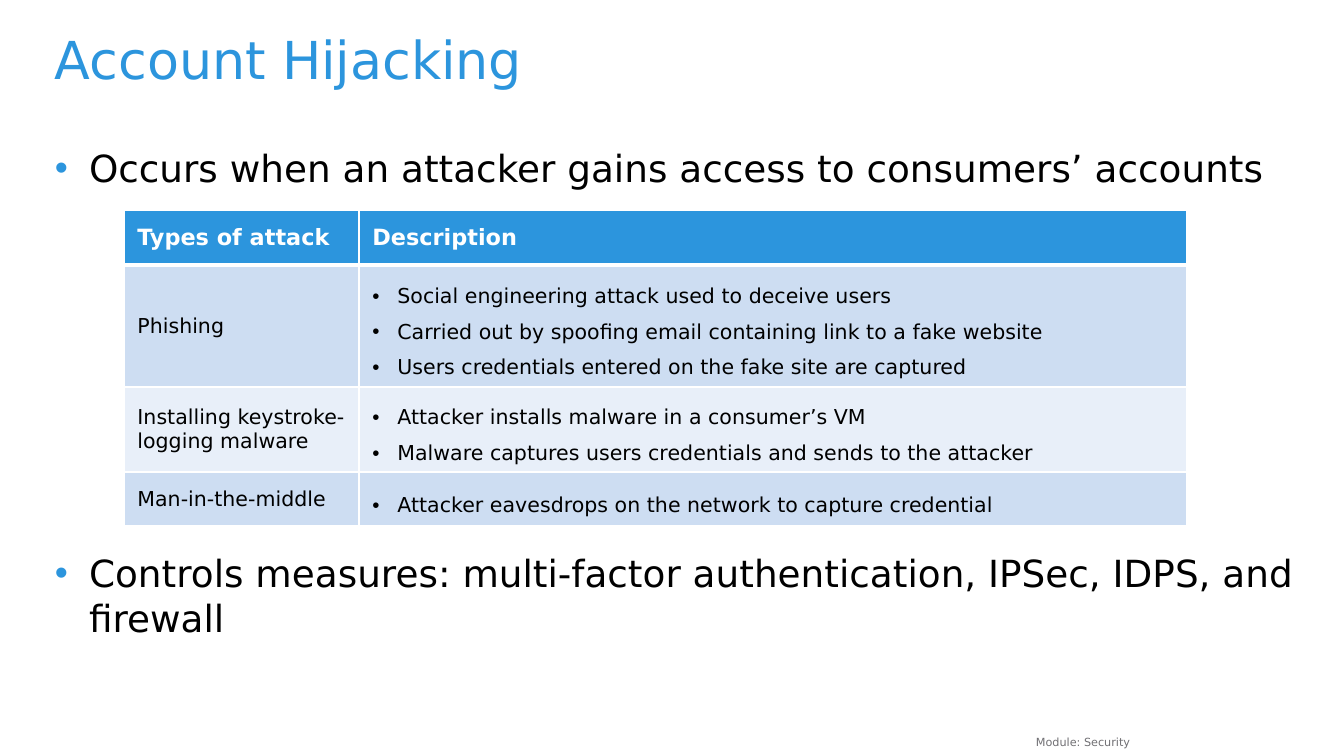
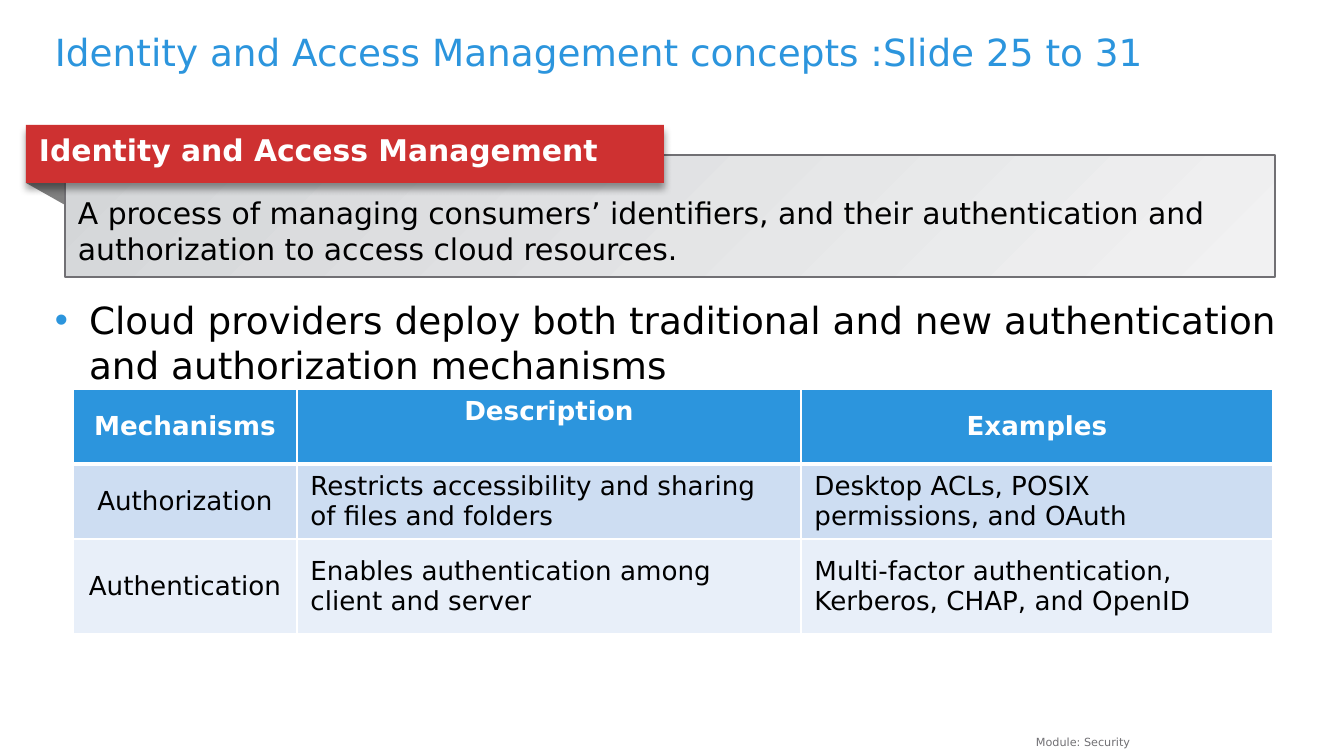
"""Build two cloud security slides with titles, bullets and tables."""
from lxml import etree
from pptx import Presentation
from pptx import util as u
from pptx.dml.color import RGBColor
from pptx.enum import shapes, text
from pptx.oxml import ns

HUES = {
    "blue": "2C95DD", "black": "000000", "white": "FFFFFF", "gray": "717074",
    "fold": "808080", "red": "CE3131", "odd": "CDDDF2", "even": "E8EFF9",
    "dim": "D4D6D8", "pale": "F1F1F2",
}
FACE = "DejaVu Sans"
SCALE = 914400 / 134.4
SIZE = (1344, 756)
TITLE = (55, 34, 1243, 67)
FOOT = ("Module: Security", (381, 728, 762, 20))
LEFT, MID, RIGHT = text.PP_ALIGN.LEFT, text.PP_ALIGN.CENTER, text.PP_ALIGN.RIGHT
TOP, CORE = text.MSO_ANCHOR.TOP, text.MSO_ANCHOR.MIDDLE

SLIDES = [
    {
        "title": ("Account Hijacking", 28),
        "body": {
            "box": (55, 145, 1243, 504),
            "gap": 193,
            "items": [
                "Occurs when an attacker gains access to consumers’ accounts",
                "Controls measures: multi-factor authentication, IPSec, IDPS, and firewall",
            ],
        },
        "table": {
            "at": (124, 210),
            "cols": (235, 828),
            "rows": (55, 122, 85, 54),
            "sizes": (12, 11),
            "aligns": ((LEFT, LEFT), (LEFT, LEFT)),
            "tops": (),
            "cells": [
                ("Types of attack", "Description"),
                ("Phishing", [
                    "Social engineering attack used to deceive users",
                    "Carried out by spoofing email containing link to a fake website",
                    "Users credentials entered on the fake site are captured",
                ]),
                ("Installing keystroke-logging malware", [
                    "Attacker installs malware in a consumer’s VM",
                    "Malware captures users credentials and sends to the attacker",
                ]),
                ("Man-in-the-middle", [
                    "Attacker eavesdrops on the network to capture credential",
                ]),
            ],
        },
    },
    {
        "title": ("Identity and Access Management concepts :Slide 25 to 31", 20),
        "body": {
            "box": (55, 297, 1243, 362),
            "gap": 12,
            "items": [
                "Cloud providers deploy both traditional and new authentication "
                "and authorization mechanisms",
            ],
        },
        "term": {
            "name": "Identity and Access Management",
            "means": "A process of managing consumers’ identifiers, and their "
                     "authentication and authorization to access cloud resources.",
            "flag": (26, 125, 638, 58),
            "card": (65, 155, 1210, 122),
            "fold": 22,
        },
        "table": {
            "at": (73, 389),
            "cols": (224, 504, 472),
            "rows": (75, 75, 95),
            "sizes": (14, 14),
            "aligns": ((MID, MID, MID), (MID, LEFT, LEFT)),
            "tops": ((0, 1),),
            "cells": [
                ("Mechanisms", "Description", "Examples"),
                ("Authorization",
                 "Restricts accessibility and sharing of files and folders",
                 "Desktop ACLs, POSIX permissions, and OAuth"),
                ("Authentication",
                 "Enables authentication among client and server",
                 "Multi-factor authentication, Kerberos, CHAP, and OpenID"),
            ],
        },
    },
]


def px(*vals):
    """Turn pixel lengths into EMU."""
    return [u.Emu(round(v * SCALE)) for v in vals]


def rgb(hue):
    """Look up a named colour."""
    return RGBColor.from_string(HUES[hue])


def put(item, **vals):
    """Set each given attribute on an object."""
    for key, val in vals.items():
        setattr(item, key, val)


def node(root, tag, **vals):
    """Append a drawing element with attributes."""
    return etree.SubElement(root, ns.qn(tag), {k: str(v) for k, v in vals.items()})


def tint(root, hue):
    """Append a colour element."""
    return node(root, "a:srgbClr", val=HUES[hue])


def mark(para, dent, hue):
    """Give a paragraph a hanging round bullet."""
    props = para._p.get_or_add_pPr()
    size = px(dent)[0]
    props.set("marL", str(size))
    props.set("indent", str(-size))
    tint(node(props, "a:buClr"), hue)
    node(props, "a:buFont", typeface="Arial")
    node(props, "a:buChar", char="•")


def write(frame, items, size, hue="black", bold=False, dot=None, gap=0, **form):
    """Fill a text frame with styled paragraphs."""
    for i, line in enumerate(items):
        para = frame.add_paragraph() if i else frame.paragraphs[0]
        if dot:
            mark(para, *dot)
        put(para, space_before=u.Pt(gap if i else 0), **form)
        run = para.add_run()
        run.text = line
        put(run.font, name=FACE, size=u.Pt(size), bold=bold)
        run.font.color.rgb = rgb(hue)


def setup(frame, pads=(13, 7, 13, 7)):
    """Set wrapping, anchor and insets of a text frame."""
    keys = ("margin_left", "margin_top", "margin_right", "margin_bottom")
    put(frame, word_wrap=True, auto_size=text.MSO_AUTO_SIZE.NONE,
        vertical_anchor=TOP, **dict(zip(keys, px(*pads))))
    return frame


def hold(shape, box):
    """Place a title or body placeholder and return its frame."""
    put(shape, **dict(zip(("left", "top", "width", "height"), px(*box))))
    return setup(shape.text_frame, (0, 0, 0, 0))


def base(deck, data):
    """Add a slide with title, bullets and footer."""
    slide = deck.slides.add_slide(deck.slide_layouts[1])
    head, body = slide.placeholders
    name, size = data["title"]
    write(hold(head, TITLE), [name], size, "blue", alignment=LEFT, line_spacing=0.9)
    part = data["body"]
    write(hold(body, part["box"]), part["items"], 20, dot=(34, "blue"),
          gap=part["gap"], alignment=LEFT)
    label, box = FOOT
    foot = slide.shapes.add_textbox(*px(*box))
    write(setup(foot.text_frame), [label], 6, "gray", alignment=RIGHT)
    return slide


def paint(shape, hue):
    """Give a shape a plain fill with no line or shadow."""
    shape.shadow.inherit = False
    shape.fill.solid()
    shape.fill.fore_color.rgb = rgb(hue)
    shape.line.fill.background()


def define(slide, term):
    """Draw the term banner, its fold and the definition card."""
    x, y, _, high = term["flag"]
    side, low = term["card"][0], y + high
    path = slide.shapes.build_freeform(x, low, scale=SCALE)
    path.add_line_segments([(side, low), (side, low + term["fold"])])
    paint(path.convert_to_shape(), "fold")

    rect = shapes.MSO_SHAPE.RECTANGLE
    card = slide.shapes.add_shape(rect, *px(*term["card"]))
    card.shadow.inherit = False
    card.fill.gradient()
    card.fill.gradient_angle = 315
    for stop, hue in zip(card.fill.gradient_stops, ("dim", "pale")):
        stop.color.rgb = rgb(hue)
    card.line.color.rgb = rgb("gray")
    card.line.width = u.Pt(1)
    write(setup(card.text_frame, (13, 40, 13, 7)), [term["means"]], 16, alignment=LEFT)

    flag = slide.shapes.add_shape(rect, *px(*term["flag"]))
    paint(flag, "red")
    glow = node(flag._element.spPr.find(ns.qn("a:effectLst")), "a:outerShdw",
                blurRad=u.Pt(4), dist=u.Pt(3), dir=5400000, rotWithShape=0)
    node(tint(glow, "black"), "a:alpha", val=40000)
    write(setup(flag.text_frame), [term["name"]], 16, "white", True, alignment=LEFT)


def edge(cell, row):
    """Rule a cell in white, thicker under the header."""
    props = cell._tc.get_or_add_tcPr()
    wide = {"T": 3 if row == 1 else 1, "B": 1 if row else 3}
    for side in "LRTB":
        line = node(props, f"a:ln{side}", w=u.Pt(wide.get(side, 1)))
        tint(node(line, "a:solidFill"), "white")


def grid(slide, data):
    """Draw a table with a header and banded rows."""
    cols, rows = data["cols"], data["rows"]
    spot = px(*data["at"], sum(cols), sum(rows))
    table = slide.shapes.add_table(len(rows), len(cols), *spot).table
    table.horz_banding = False
    for col, wide in zip(table.columns, px(*cols)):
        col.width = wide
    for row, high in zip(table.rows, px(*rows)):
        row.height = high
    for r, line in enumerate(data["cells"]):
        body = int(r > 0)
        for c, item in enumerate(line):
            cell = table.cell(r, c)
            edge(cell, r)
            cell.fill.solid()
            cell.fill.fore_color.rgb = rgb(("odd" if r % 2 else "even") if body else "blue")
            cell.vertical_anchor = TOP if (r, c) in data["tops"] else CORE
            form = {"alignment": data["aligns"][body][c]}
            if isinstance(item, list):
                form.update(dot=(25, "black"), line_spacing=1.5)
            else:
                item = [item]
            write(cell.text_frame, item, data["sizes"][body],
                  "black" if body else "white", not body, **form)


def main():
    """Build and save the deck."""
    deck = Presentation()
    deck.slide_width, deck.slide_height = px(*SIZE)
    for data in SLIDES:
        slide = base(deck, data)
        if "term" in data:
            define(slide, data["term"])
        grid(slide, data["table"])
    deck.save("out.pptx")


if __name__ == "__main__":
    main()
